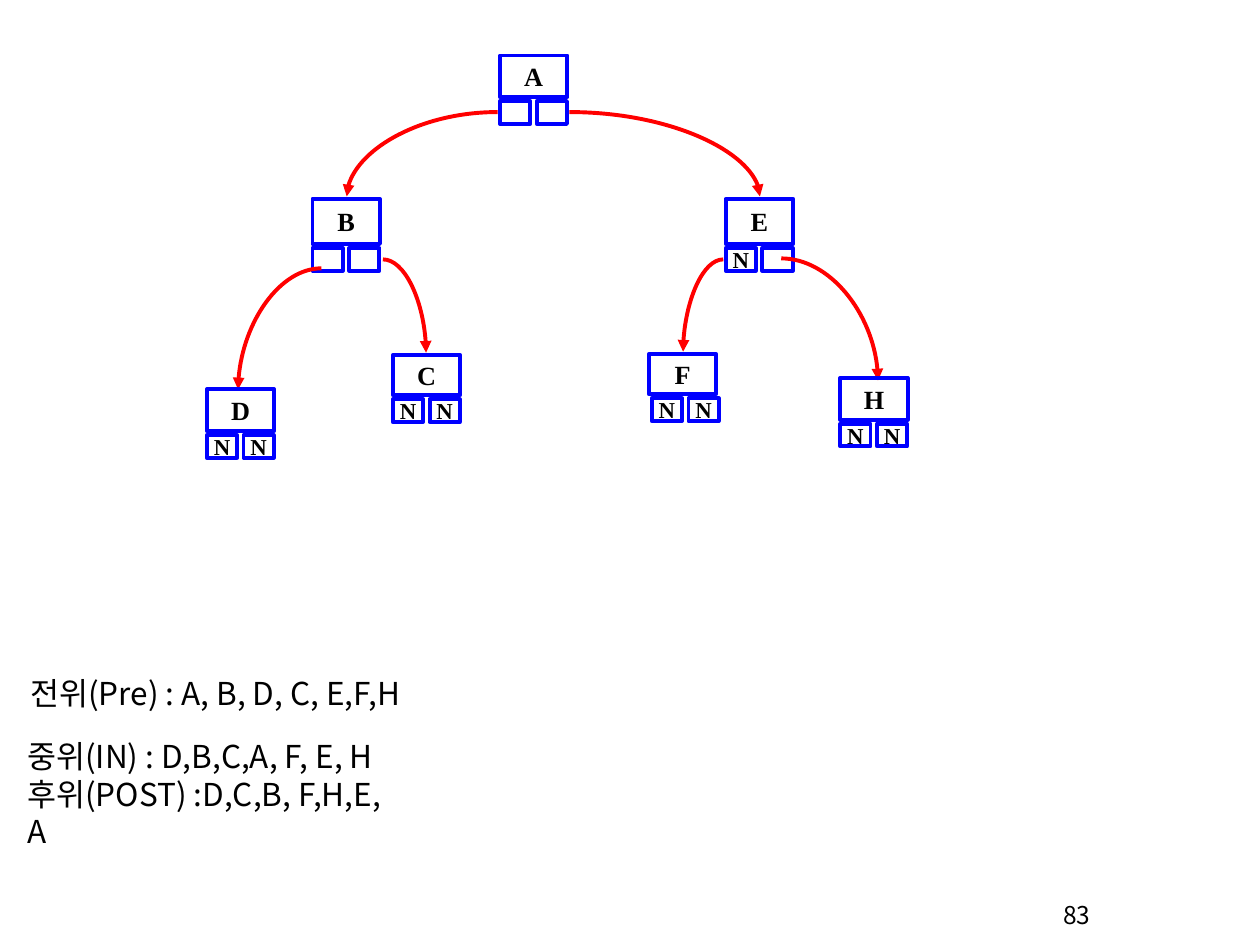
from dataclasses import dataclass

from lxml import etree
from pptx import Presentation
from pptx.dml.color import RGBColor
from pptx.enum.shapes import MSO_CONNECTOR, MSO_SHAPE
from pptx.enum.text import MSO_ANCHOR, PP_ALIGN
from pptx.oxml.ns import qn
from pptx.slide import Slide
from pptx.text.text import _Paragraph
from pptx.util import Cm, Pt

CURVE = MSO_CONNECTOR.CURVE
RECTANGLE = MSO_SHAPE.RECTANGLE
MIDDLE = MSO_ANCHOR.MIDDLE
LEFT, CENTER, RIGHT = PP_ALIGN.LEFT, PP_ALIGN.CENTER, PP_ALIGN.RIGHT


@dataclass(frozen=True)
class Theme:
    border: RGBColor = RGBColor(0x00, 0x00, 0xFF)
    link: RGBColor = RGBColor(0xFF, 0x00, 0x00)
    text: RGBColor = RGBColor(0x00, 0x00, 0x00)
    node_font: str = "Times New Roman"
    body_font: str = "Noto Sans CJK KR"
    key_size: float = 15
    null_size: float = 13
    body_size: float = 18
    number_size: float = 14
    line_width: float = 2.25


@dataclass(frozen=True)
class Arrow:
    start_x: float
    start_y: float
    end_x: float
    end_y: float


@dataclass(frozen=True)
class Node:
    key: str
    left: float
    top: float
    key_height: float
    pointers: tuple[str, str] = ("N", "N")
    arrows: tuple[Arrow, ...] = ()
    pointer_shift: float = 0


@dataclass(frozen=True)
class Caption:
    lines: tuple[str, ...]
    left: float
    top: float
    width: float
    height: float
    size: float
    align: PP_ALIGN = LEFT


THEME = Theme()
NODE_WIDTH = 1.36
POINTER_WIDTH = 0.61
POINTER_HEIGHT = 0.46
POINTER_PITCH = 0.74
POINTER_GAP = 0.08

TREE = (
    Node("A", 10.08, 1.12, 0.84, ("", ""),
         (Arrow(11.48, 2.26, 15.32, 3.96), Arrow(10.03, 2.26, 6.99, 3.96))),
    Node("B", 6.3, 4.01, 0.91, ("", ""),
         (Arrow(7.72, 5.23, 8.59, 7.11), Arrow(6.48, 5.41, 4.8, 7.85))),
    Node("D", 4.17, 7.85, 0.84),
    Node("C", 7.92, 7.16, 0.81),
    Node("E", 14.63, 4.01, 0.91, ("N", ""),
         (Arrow(14.58, 5.23, 13.77, 7.09), Arrow(15.75, 5.21, 17.7, 7.67))),
    Node("F", 13.08, 7.14, 0.81, pointer_shift=0.06),
    Node("H", 16.94, 7.62, 0.84),
)

CAPTIONS = (
    Caption(("83",), 19.51, 18.01, 2.72, 1.12, THEME.number_size, RIGHT),
    Caption(("전위(Pre) : A, B, D, C, E,F,H",), 0.36, 13.46, 8.18, 1.02, THEME.body_size),
    Caption(("중위(IN) : D,B,C,A, F, E, H", "후위(POST) :D,C,B, F,H,E, A"),
            0.3, 14.73, 8.1, 1.8, THEME.body_size),
)


def write(para: _Paragraph, text: str, font: str, size: float,
          align: PP_ALIGN, bold: bool = False) -> None:
    para.text = text
    para.alignment = align
    para.font.name = font
    para.font.size = Pt(size)
    para.font.bold = bold
    para.font.color.rgb = THEME.text
    properties = para._p.pPr.find(qn("a:defRPr"))
    etree.SubElement(properties, qn("a:ea"), typeface=font)


def draw_cell(page: Slide, text: str, left: float, top: float,
              width: float, height: float, size: float) -> None:
    box = page.shapes.add_shape(RECTANGLE, Cm(left), Cm(top), Cm(width), Cm(height))
    box.shadow.inherit = False
    box.fill.background()
    box.line.color.rgb = THEME.border
    box.line.width = Pt(THEME.line_width)
    if text:
        frame = box.text_frame
        frame.word_wrap = False
        frame.vertical_anchor = MIDDLE
        write(frame.paragraphs[0], text, THEME.node_font, size, CENTER, bold=True)


def draw_arrow(page: Slide, arrow: Arrow) -> None:
    curve = page.shapes.add_connector(
        CURVE, Cm(arrow.start_x), Cm(arrow.start_y), Cm(arrow.end_x), Cm(arrow.end_y))
    curve.line.color.rgb = THEME.link
    curve.line.width = Pt(THEME.line_width)
    properties = curve._element.spPr
    properties.find(qn("a:prstGeom")).set("prst", "curvedConnector2")
    if arrow.end_x < arrow.start_x:
        transform = properties.find(qn("a:xfrm"))
        transform.attrib.pop("flipH")
        transform.set("rot", "10800000")
        transform.set("flipV", "1")
    etree.SubElement(properties.find(qn("a:ln")), qn("a:tailEnd"), type="triangle")
    etree.SubElement(properties, qn("a:effectLst"))


def draw_node(page: Slide, node: Node) -> None:
    draw_cell(page, node.key, node.left, node.top, NODE_WIDTH, node.key_height, THEME.key_size)
    pointer_top = node.top + node.key_height + POINTER_GAP
    for index, text in enumerate(node.pointers):
        pointer_left = node.left + node.pointer_shift + index * POINTER_PITCH
        draw_cell(page, text, pointer_left, pointer_top,
                  POINTER_WIDTH, POINTER_HEIGHT, THEME.null_size)
    for arrow in node.arrows:
        draw_arrow(page, arrow)


def draw_caption(page: Slide, caption: Caption) -> None:
    box = page.shapes.add_textbox(
        Cm(caption.left), Cm(caption.top), Cm(caption.width), Cm(caption.height))
    frame = box.text_frame
    frame.word_wrap = True
    for index, line in enumerate(caption.lines):
        para = frame.add_paragraph() if index else frame.paragraphs[0]
        write(para, line, THEME.body_font, caption.size, caption.align)


def main() -> None:
    deck = Presentation()
    deck.slide_width, deck.slide_height = Cm(25.4), Cm(19.05)
    page = deck.slides.add_slide(deck.slide_layouts[6])
    for node in TREE:
        draw_node(page, node)
    for caption in CAPTIONS:
        draw_caption(page, caption)
    deck.save("out.pptx")


if __name__ == "__main__":
    main()
